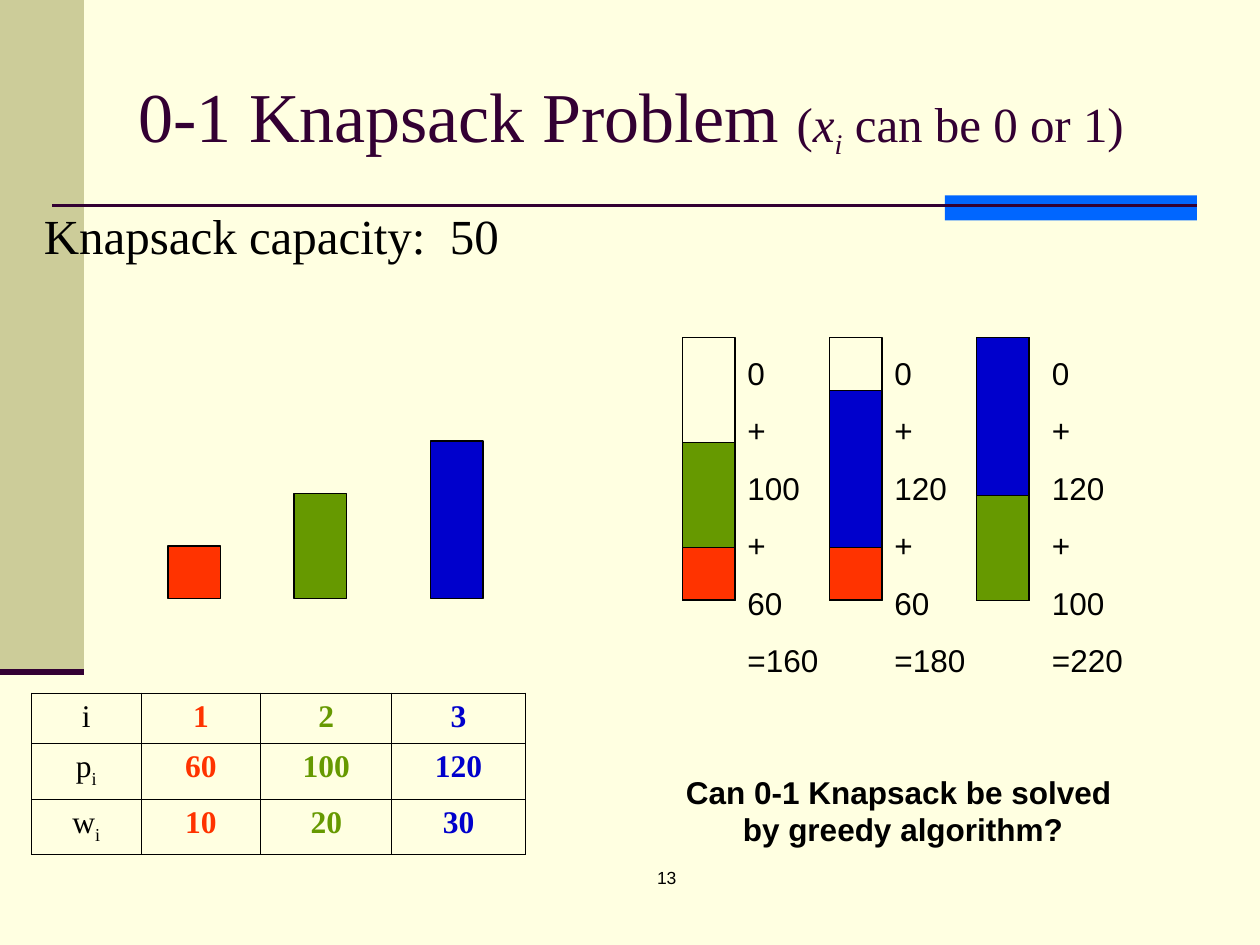
import pptx
import pptx.util
import pptx.dml.color
import pptx.enum.shapes
import pptx.enum.text
import pptx.oxml
import pptx.oxml.ns

Pt = pptx.util.Pt
align = pptx.enum.text.PP_ALIGN
anchor = pptx.enum.text.MSO_ANCHOR
kind = pptx.enum.shapes


def hue(code):
    return pptx.dml.color.RGBColor.from_string(code)


def write(frame, rows, look, side=align.LEFT, gap=0):
    for num, runs in enumerate(rows):
        par = frame.add_paragraph() if num else frame.paragraphs[0]
        par.alignment = side
        par.space_before = Pt(gap if num else 0)
        for text, more in runs:
            run = par.add_run()
            run.text = text
            style = {**look, **more}
            run.font.color.rgb = hue(style.pop("color"))
            if style.pop("sub", False):
                run.font._element.set("baseline", "-25000")
            for key, value in style.items():
                setattr(run.font, key, value)


black, plum, red, green, blue = "000000", "330033", "FF3300", "669900", "0000CC"
serif = {"name": "Times New Roman", "size": Pt(18), "color": black}
sans = {"name": "Arial", "size": Pt(18), "color": black}
sub = {"sub": True}

deck = pptx.Presentation()
deck.slide_width, deck.slide_height = Pt(720), Pt(540)
slide = deck.slides.add_slide(deck.slide_layouts[6])
slide.background.fill.solid()
slide.background.fill.fore_color.rgb = hue("FFFFE1")
shapes = slide.shapes

unit, wide, base, floor = 3, 30, 342, 343
room = 50
items = {1: (red, 60, 10), 2: (green, 100, 20), 3: (blue, 120, 30)}
packs = [(390, 420, (1, 2)), (474, 504, (1, 3)), (558, 594, (2, 3))]

rects = [(0, 0, 48, 384, "CCCC99", None), (540, 111.6, 144, 14.4, "0066FF", None)]
for left, item in zip((96, 168, 246), items.values()):
    tall = item[2] * unit
    rects.append((left, base - tall, wide, tall, item[0], black))
for left, _, picks in packs:
    rects.append((left, floor - room * unit, wide, room * unit, None, black))
    low = floor
    for pick in picks:
        tall = items[pick][2] * unit
        low -= tall
        rects.append((left, low, wide, tall, items[pick][0], black))

for *place, fill, edge in rects:
    rect = shapes.add_shape(kind.MSO_SHAPE.RECTANGLE, *map(Pt, place))
    rect.shadow.inherit = False
    if fill:
        rect.fill.solid()
        rect.fill.fore_color.rgb = hue(fill)
    else:
        rect.fill.background()
    if edge:
        rect.line.color.rgb = hue(edge)
        rect.line.width = Pt(0.75)
    else:
        rect.line.fill.background()

for left, top, right, thick in ((30, 117.6, 684, 1.5), (0, 384, 48, 3.5)):
    rule = shapes.add_connector(
        kind.MSO_CONNECTOR.STRAIGHT, Pt(left), Pt(top), Pt(right), Pt(top))
    rule.line.color.rgb = hue(plum)
    rule.line.width = Pt(thick)
    rule._element.spPr.append(pptx.oxml.parse_xml(
        f"<a:effectLst {pptx.oxml.ns.nsdecls('a')}/>"))

title = [[("0-1 Knapsack Problem ", {"size": Pt(40)}), ("(", {}),
          ("x", {"italic": True}), ("i", {"italic": True, **sub}),
          (" can be 0 or 1)", {})]]
large = {**serif, "size": Pt(28)}
ask = [[("Can 0-1 Knapsack be solved ", {})], [("by greedy algorithm?", {})]]
boxes = [
    ((72, 21.6, 612, 90), title, {**large, "color": plum}, align.LEFT, 0, anchor.MIDDLE, True),
    ((18, 113.8, 274.3, 41), [[(f"Knapsack capacity:  {room}", {})]], large,
     align.LEFT, 0, anchor.MIDDLE, False),
    ((264, 492, 234, 36), [[("13", {})]], {**sans, "size": Pt(10)},
     align.CENTER, 0, anchor.TOP, True),
    ((312, 438, 408, 50.4), ask, {**sans, "bold": True}, align.CENTER, 0, anchor.TOP, True),
]
for _, left, (low, high) in packs:
    less, more = items[low][1], items[high][1]
    sums = [[(text, {})] for text in
            ("0", "+", str(more), "+", str(less), f"={less + more}")]
    boxes.append(((left, 198.7, 60, 193), sums, sans, align.LEFT, 11.2, anchor.TOP, True))

for place, rows, look, side, gap, hold, wrap in boxes:
    frame = shapes.add_textbox(*map(Pt, place)).text_frame
    frame.word_wrap = wrap
    frame.vertical_anchor = hold
    write(frame, rows, look, side, gap)

table = shapes.add_table(3, 4, Pt(18), Pt(396), Pt(282.2), Pt(92)).table
table.first_row = table.horz_banding = False
for col, size in zip(table.columns, (62.6, 68.4, 74.9, 76.3)):
    col.width = Pt(size)
for row, size in zip(table.rows, (28.6, 31.7, 31.7)):
    row.height = Pt(size)
heads = [[("i", {})], [("p", {}), ("i", sub)], [("w", {}), ("i", sub)]]
for y, head in enumerate(heads):
    line = [head]
    for num, (color, price, weight) in items.items():
        value = (num, price, weight)[y]
        line.append([(str(value), {"color": color, "bold": True})])
    for x, runs in enumerate(line):
        cell = table.cell(y, x)
        write(cell.text_frame, [runs], serif, align.CENTER)
        props = cell._tc.get_or_add_tcPr()
        for edge in ("lnL", "lnR", "lnT", "lnB"):
            props.append(pptx.oxml.parse_xml(
                f'<a:{edge} {pptx.oxml.ns.nsdecls("a")} w="{Pt(0.45)}"><a:solidFill>'
                f'<a:srgbClr val="{black}"/></a:solidFill></a:{edge}>'))
        cell.fill.background()

deck.save("out.pptx")
